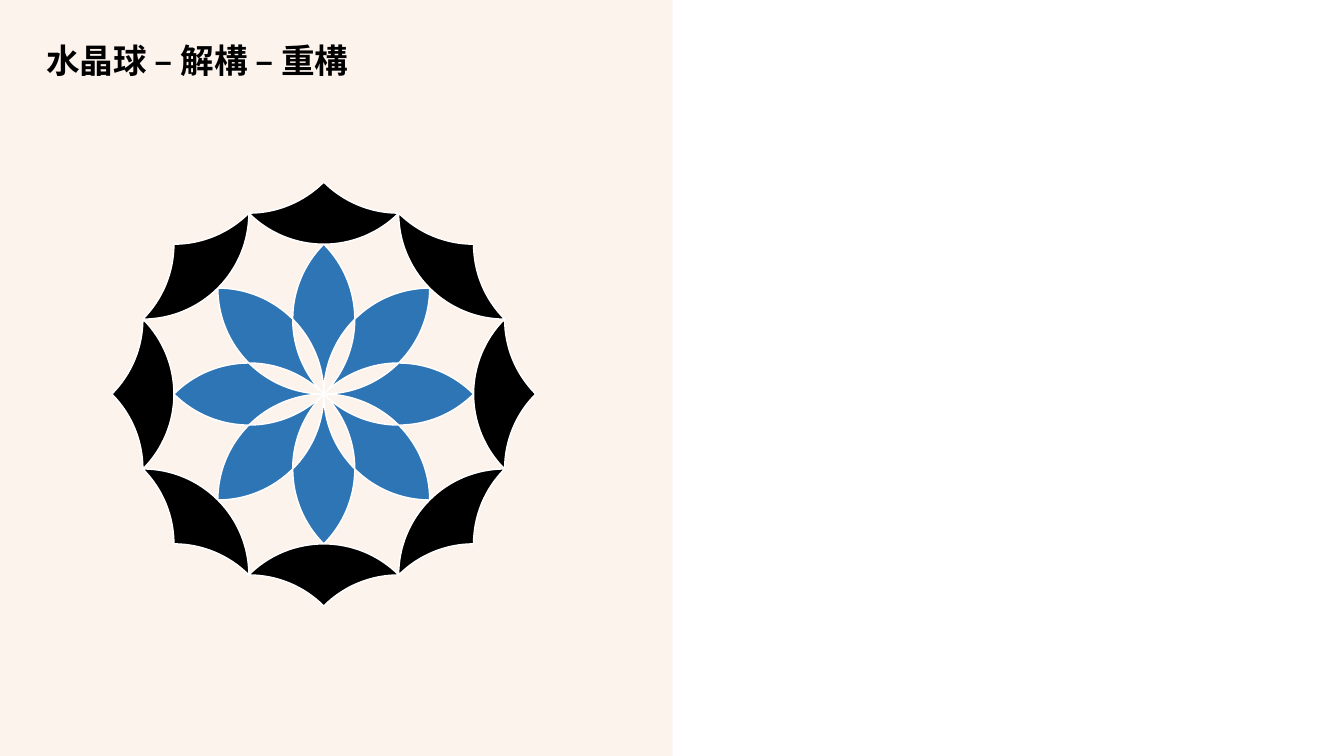
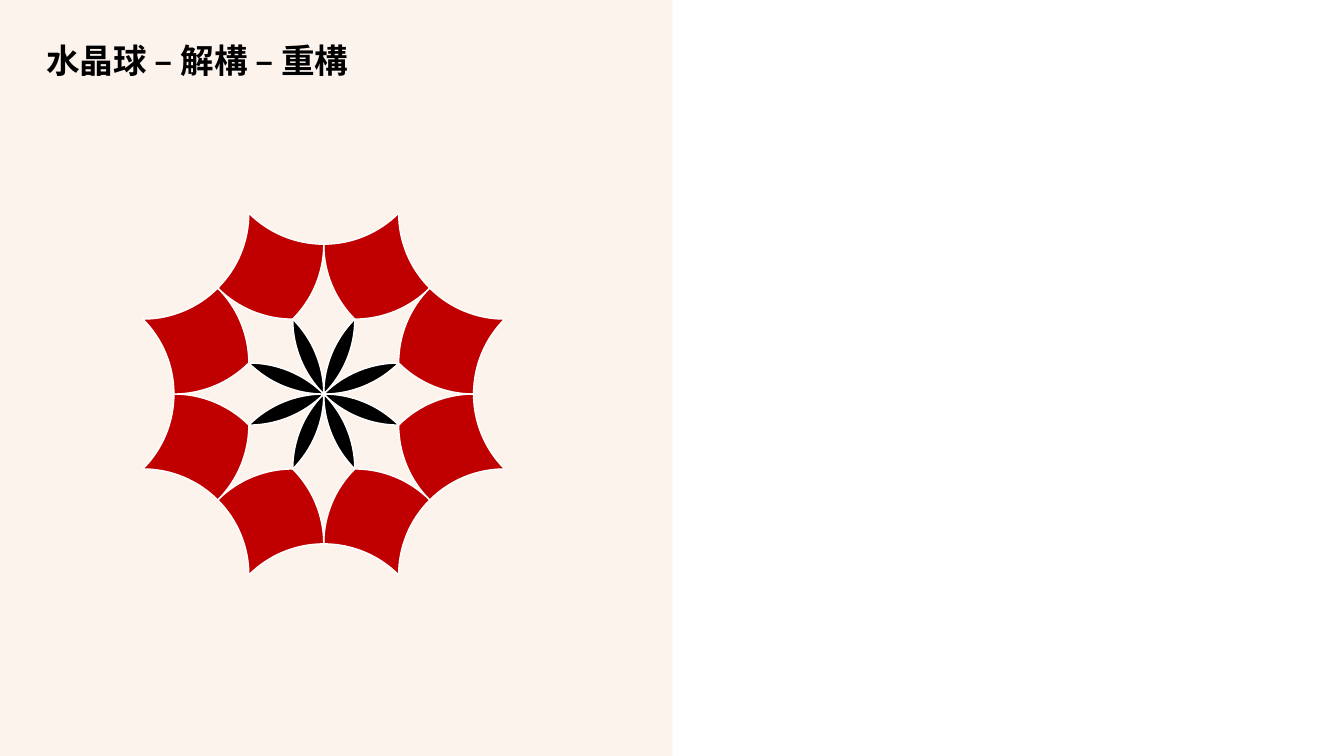
"""Build two slides of rosettes cut from eight overlapping circles."""
from dataclasses import dataclass
from math import cos, pi, sin, tan

from lxml.etree import Element, SubElement
from pptx import Presentation
from pptx.dml.color import RGBColor
from pptx.enum.shapes import MSO_CONNECTOR, MSO_SHAPE
from pptx.enum.text import MSO_ANCHOR, MSO_AUTO_SIZE, PP_ALIGN
from pptx.oxml.ns import qn
from pptx.shapes.autoshape import Shape
from pptx.slide import Slide, SlideLayout
from pptx.util import Cm, Pt

COLORS = {
    "panel": "F4B183",
    "divider": "FBE5D6",
    "white": "FFFFFF",
    "black": "000000",
    "blue": "2E75B6",
    "red": "C00000",
}
FONT = "Noto Sans CJK SC"
TITLE = "水晶球 – 解構 – 重構"
WIDTH, HEIGHT = Cm(33.87), Cm(19.05)
HALF = Cm(16.94)
CENTER_X, CENTER_Y = Cm(8.16), Cm(9.93)
RADIUS = Cm(2.67)
PETALS = 8
STEP = pi / PETALS
HANDLE = 2 / 3 * tan(STEP / 2) / sin(STEP)
Point = tuple[float, float]


@dataclass(frozen=True)
class Corner:
    """Ring 0 is outermost and 4 the centre; bulge shapes the next edge."""

    ring: int
    turn: int
    bulge: int

    def point(self, rotation: int) -> Point:
        """Return the corner after turning it by a number of half petals."""
        distance = 2 * RADIUS * cos(self.ring * STEP)
        angle = (self.turn + rotation) * STEP
        return CENTER_X + distance * sin(angle), CENTER_Y - distance * cos(angle)


@dataclass(frozen=True)
class Wreath:
    """A tile repeated around the centre."""

    color: str
    corners: tuple[Corner, ...]
    grouped: bool = True


PETAL = Wreath("blue", (Corner(2, 0, 1), Corner(3, 1, -1), Corner(4, 0, -1), Corner(3, -1, 1)))
RIM = Wreath("black", (Corner(0, 0, -1), Corner(1, 1, 1), Corner(2, 0, 1), Corner(1, -1, -1)))
SHIELD = Wreath(
    "red",
    (Corner(3, 1, 1), Corner(2, 0, -1), Corner(1, 1, -1), Corner(2, 2, 1)),
    grouped=False,
)
SEED = Wreath("black", (Corner(4, 0, 1), Corner(3, 1, 1)))
SLIDES = ((PETAL, RIM), (SHIELD, SEED))


def rgb(name: str) -> RGBColor:
    """Look up a palette colour."""
    return RGBColor.from_string(COLORS[name])


def set_alpha(fill_parent, percent: int) -> None:
    """Make the solid fill of an element translucent."""
    color = fill_parent.find(qn("a:solidFill"))[0]
    SubElement(color, qn("a:alpha")).set("val", str(percent * 1000))


def handles(p: Point, q: Point, bulge: int) -> tuple[Point, Point]:
    """Return the Bezier handles of an eighth of a circle from p to q."""
    dx, dy = q[0] - p[0], q[1] - p[1]
    along, out = HANDLE * cos(STEP), bulge * HANDLE * sin(STEP)
    return (
        (p[0] + along * dx + out * dy, p[1] + along * dy - out * dx),
        (q[0] - along * dx + out * dy, q[1] - along * dy - out * dx),
    )


def add_tile(s: Slide, wreath: Wreath, rotation: int) -> Shape:
    """Draw one tile with curved sides."""
    points = [corner.point(rotation) for corner in wreath.corners]
    ends = points[1:] + points[:1]
    builder = s.shapes.build_freeform(*points[0], scale=1.0)
    builder.add_line_segments(ends, close=True)
    sp = builder.convert_to_shape()
    sides = list(sp.element.spPr.iter(qn("a:lnTo")))
    for side, corner, p, q in zip(sides, wreath.corners, points, ends):
        side.tag = qn("a:cubicBezTo")
        for index, (x, y) in enumerate(handles(p, q, corner.bulge)):
            pt = Element(qn("a:pt"), x=str(round(x - sp.left)), y=str(round(y - sp.top)))
            side.insert(index, pt)
    sp.shadow.inherit = False
    sp.fill.solid()
    sp.fill.fore_color.rgb = rgb(wreath.color)
    sp.line.color.rgb = rgb("white")
    sp.line.width = Pt(1)
    return sp


def add_wreath(s: Slide, wreath: Wreath) -> None:
    """Repeat a tile around the centre."""
    tiles = [add_tile(s, wreath, 2 * i) for i in range(PETALS)]
    if wreath.grouped:
        s.shapes.add_group_shape(tiles)


def add_backdrop(s: Slide, layout: SlideLayout) -> None:
    """Draw the tinted left half and its edge, and move them to the layout."""
    panel = s.shapes.add_shape(MSO_SHAPE.RECTANGLE, 0, 0, HALF, HEIGHT)
    panel.shadow.inherit = False
    panel.fill.solid()
    panel.fill.fore_color.rgb = rgb("panel")
    panel.line.fill.background()
    set_alpha(panel.element.spPr, 14)

    divider = s.shapes.add_connector(MSO_CONNECTOR.STRAIGHT, HALF, HEIGHT, HALF, 0)
    divider.line.color.rgb = rgb("divider")
    divider.line.width = Pt(0.25)
    set_alpha(divider.element.spPr.find(qn("a:ln")), 50)
    SubElement(divider.element.spPr, qn("a:effectLst"))

    tree = layout.shapes.element
    for index, sp in enumerate((panel, divider), start=2):
        tree.insert(index, sp.element)


def add_title(s: Slide) -> None:
    """Fill and format the title placeholder."""
    sp = s.shapes.title
    sp.left, sp.top, sp.width, sp.height = Cm(0.91), Cm(1.02), Cm(15.11), Cm(1.12)
    tf = sp.text_frame
    tf.text = TITLE
    tf.word_wrap = False
    tf.auto_size = MSO_AUTO_SIZE.NONE
    tf.vertical_anchor = MSO_ANCHOR.MIDDLE
    p = tf.paragraphs[0]
    p.alignment = PP_ALIGN.LEFT
    p.line_spacing = 0.9
    r = p.runs[0]
    r.font.size = Pt(24)
    r.font.bold = True
    r.font.color.rgb = rgb("black")
    r.font.name = FONT
    SubElement(r.font._element, qn("a:ea")).set("typeface", FONT)


def main() -> None:
    """Build and save the presentation."""
    prs = Presentation()
    prs.slide_width, prs.slide_height = WIDTH, HEIGHT
    layout = prs.slide_layouts.get_by_name("Title Only")
    for number, wreaths in enumerate(SLIDES):
        s = prs.slides.add_slide(layout)
        if number == 0:
            add_backdrop(s, layout)
        add_title(s)
        for wreath in wreaths:
            add_wreath(s, wreath)
    prs.save("out.pptx")


if __name__ == "__main__":
    main()
